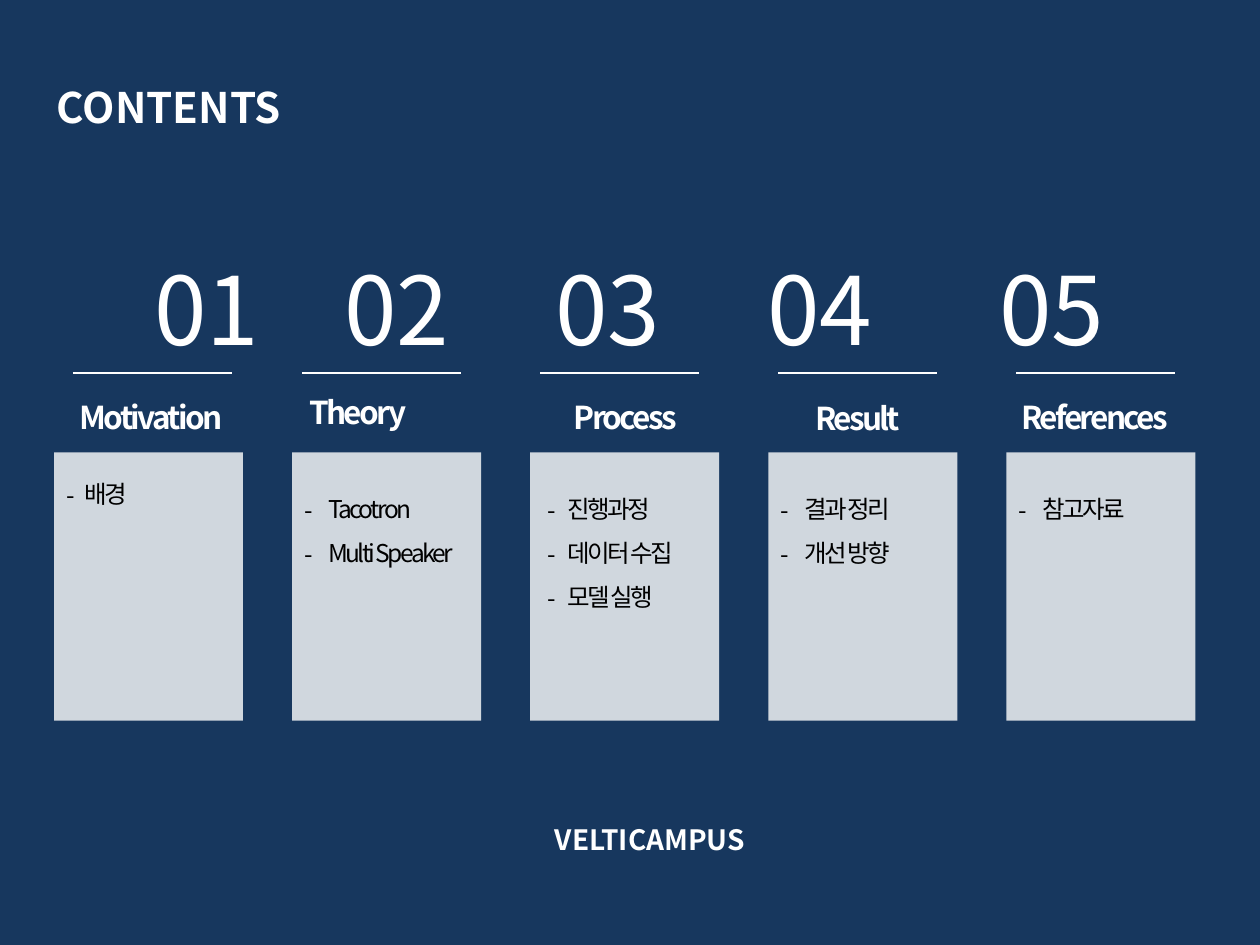
from pptx import Presentation
from pptx.dml.color import RGBColor
from pptx.enum import shapes, text
from pptx.oxml.ns import qn
from pptx.util import Cm, Pt
from lxml import etree

FONT = "Noto Sans CJK KR"
COLORS = {"navy": "17375E", "white": "FFFFFF", "black": "000000"}

COLUMN_LEFT, COLUMN_STEP, COLUMN_WIDTH = 1.09, 4.8, 3.81
PANEL_TOP, PANEL_HEIGHT = 9.12, 5.41

# Offsets are in cm from the left edge of the column; the centres are those
# of the number and the heading.
COLUMNS = [
    dict(number="01", number_mid=3.08, rule=0.38, heading="Motivation",
         heading_mid=1.96, heading_top=7.9, items=["배경"],
         items_left=0, indent=0.36, spacing=1.0),
    dict(number="02", number_mid=2.11, rule=0.2, heading="Theory",
         heading_mid=1.32, heading_top=7.8, items=["Tacotron", "Multi Speaker"],
         items_left=0, indent=0.48, spacing=1.5),
    dict(number="03", number_mid=1.56, rule=0.2, heading="Process",
         heading_mid=1.92, heading_top=7.9,
         items=["진행과정", "데이터 수집", "모델 실행"],
         items_left=0.1, indent=0.41, spacing=1.5),
    dict(number="04", number_mid=1.04, rule=0.2, heading="Result",
         heading_mid=1.8, heading_top=7.92, items=["결과 정리", "개선 방향"],
         items_left=0, indent=0.48, spacing=1.5),
    dict(number="05", number_mid=0.91, rule=0.2, heading="References",
         heading_mid=1.78, heading_top=7.9, items=["참고자료"],
         items_left=0, indent=0.48, spacing=1.5),
]


def rgb(name):
    return RGBColor.from_string(COLORS[name])


def add_run(p, words, size, color="white", bold=False, tracking=0):
    """Add a run; tracking is the letter spacing in points."""
    r = p.add_run()
    r.text = words
    r.font.size = Pt(size)
    r.font.name = FONT
    r.font.bold = bold
    r.font.color.rgb = rgb(color)
    rpr = r._r.get_or_add_rPr()
    rpr.find(qn("a:latin")).addnext(
        etree.Element(qn("a:ea"), typeface=FONT))
    if tracking:
        rpr.set("spc", str(int(tracking * 100)))


def add_text_box(s, left, top, width, height):
    tf = s.shapes.add_textbox(Cm(left), Cm(top), Cm(width), Cm(height)).text_frame
    tf.word_wrap = True
    return tf


def add_centred(s, middle, top, width, height, words, size, **style):
    tf = add_text_box(s, middle - width / 2, top, width, height)
    p = tf.paragraphs[0]
    p.alignment = text.PP_ALIGN.CENTER
    add_run(p, words, size, **style)


def add_title(s, left, top, width, height):
    title = s.shapes.title
    title.left, title.top = Cm(left), Cm(top)
    title.width, title.height = Cm(width), Cm(height)
    tf = title.text_frame
    tf.auto_size = text.MSO_AUTO_SIZE.NONE
    tf.vertical_anchor = text.MSO_ANCHOR.TOP
    p = tf.paragraphs[0]
    p.alignment = text.PP_ALIGN.LEFT
    add_run(p, "CONTENTS", 24, bold=True)


def add_panel(s, left, top, width, height):
    sp = s.shapes.add_shape(shapes.MSO_SHAPE.RECTANGLE,
                            Cm(left), Cm(top), Cm(width), Cm(height))
    sp.shadow.inherit = False
    sp.line.fill.background()
    sp.fill.solid()
    sp.fill.fore_color.rgb = rgb("white")
    color = sp._element.spPr.find(qn("a:solidFill"))[0]
    etree.SubElement(color, qn("a:alpha"), val="80000")


def add_rule(s, left, top, width):
    line = s.shapes.add_connector(shapes.MSO_CONNECTOR.STRAIGHT,
                                  Cm(left), Cm(top), Cm(left + width), Cm(top))
    line.line.color.rgb = rgb("white")
    line.line.width = Pt(0.75)
    etree.SubElement(line._element.spPr, qn("a:effectLst"))


def add_items(s, left, top, width, height, items, indent, spacing):
    tf = add_text_box(s, left, top, width, height)
    for i, item in enumerate(items):
        p = tf.add_paragraph() if i else tf.paragraphs[0]
        ppr = p._p.get_or_add_pPr()
        ppr.set("marL", str(Cm(indent)))
        ppr.set("indent", str(-Cm(indent)))
        etree.SubElement(ppr, qn("a:buFont"), typeface=FONT)
        etree.SubElement(ppr, qn("a:buChar"), char="-")
        p.line_spacing = spacing
        add_run(p, item, 14, color="black", tracking=-1.5)


def add_column(s, left, top, width, height, col):
    """Place a panel in the given box, with its number and heading above."""
    add_panel(s, left, top, width, height)
    add_centred(s, left + col["number_mid"], top - 4.19, 4, 2.57,
                col["number"], 54)
    add_rule(s, left + col["rule"], top - 1.6, 3.2)
    add_centred(s, left + col["heading_mid"], col["heading_top"], 4.2, 1.02,
                col["heading"], 18, bold=True, tracking=-1.5)
    add_items(s, left + col["items_left"], top + 0.41, width, 2.87,
              col["items"], col["indent"], col["spacing"])


def main():
    prs = Presentation()
    prs.slide_width, prs.slide_height = Cm(25.4), Cm(19.05)
    s = prs.slides.add_slide(prs.slide_layouts[5])
    s.background.fill.solid()
    s.background.fill.fore_color.rgb = rgb("navy")

    add_title(s, 0.89, 1.52, 11.6, 1.27)
    for i, col in enumerate(COLUMNS):
        add_column(s, COLUMN_LEFT + i * COLUMN_STEP, PANEL_TOP,
                   COLUMN_WIDTH, PANEL_HEIGHT, col)
    add_centred(s, 13.1, 16.46, 10, 0.94, "VELTICAMPUS", 16, bold=True)
    prs.save("out.pptx")


if __name__ == "__main__":
    main()
